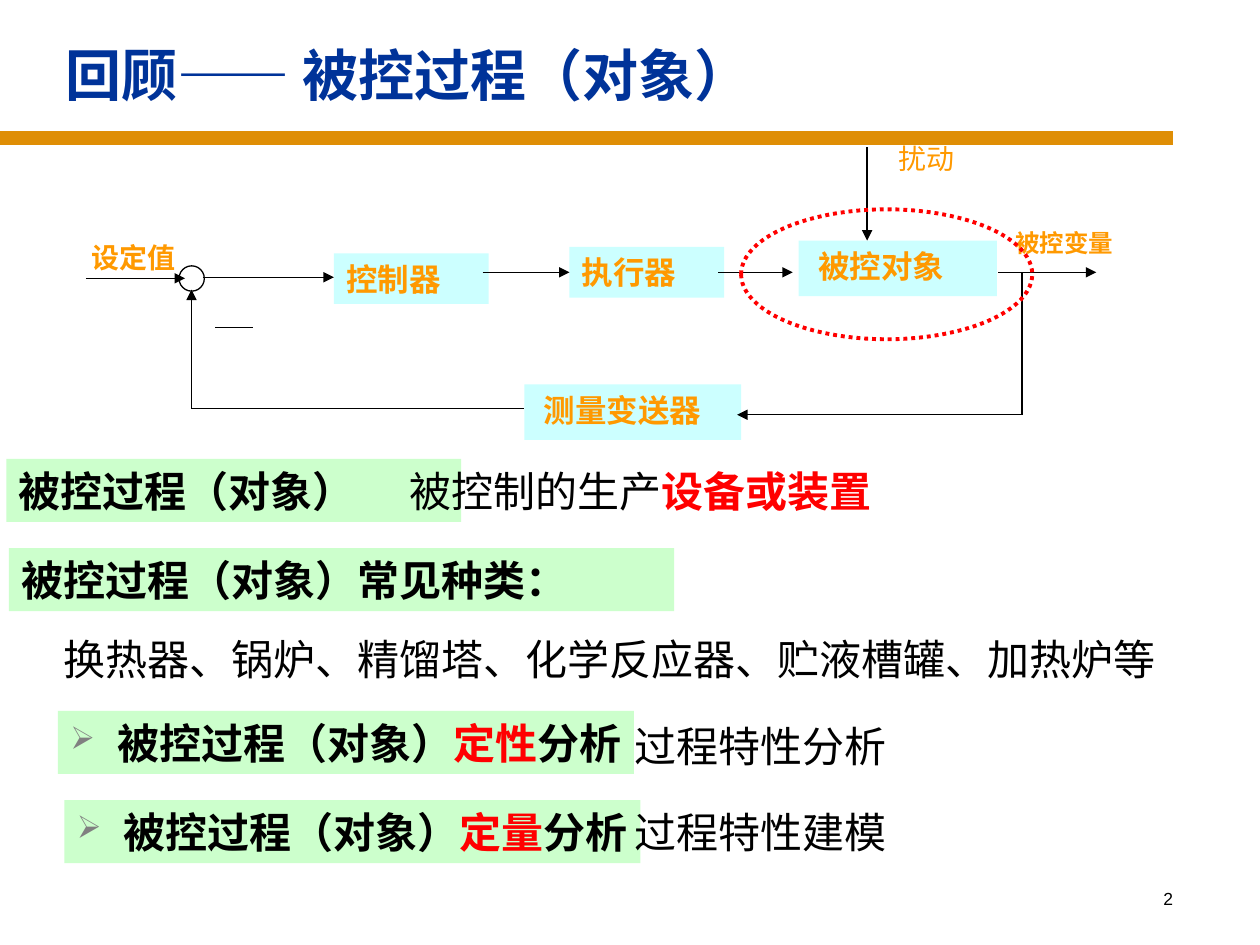
from lxml import etree
from pptx import Presentation
from pptx.dml.color import RGBColor
from pptx.enum import dml, shapes, text
from pptx.oxml import ns
from pptx.util import Cm, Pt

COLORS = {
    "navy": "003399", "bar": "DF8E05", "orange": "FF9900", "cyan": "CCFFFF",
    "green": "CCFFCC", "red": "FF0000", "black": "000000", "gray": "808080",
}


def rgb(name):
    return RGBColor.from_string(COLORS[name])


def sub(parent, tag, **attrs):
    return etree.SubElement(parent, ns.qn(tag), attrs)


def write(sp, runs, size, font="DejaVu Sans", before=0, hang=True, bullet=False):
    """Fill a shape with one paragraph; runs are (text, color, bold)."""
    tf = sp.text_frame
    tf.word_wrap = True
    tf.auto_size = text.MSO_AUTO_SIZE.NONE
    tf.vertical_anchor = text.MSO_ANCHOR.TOP
    tf.margin_right = 0
    p = tf.paragraphs[0]
    p.alignment = text.PP_ALIGN.LEFT
    p.space_before = Pt(before)
    pPr = p._p.get_or_add_pPr()
    if hang:
        pPr.set("marL", str(Cm(0.95)))
        pPr.set("indent", str(-Cm(0.95)))
    if bullet:
        sub(sub(pPr, "a:buClr"), "a:srgbClr", val=COLORS["gray"])
        sub(pPr, "a:buSzPct", val="75000")
        sub(pPr, "a:buChar", char="➢")
    p.font.size = Pt(size)
    p.font.name = font
    for content, color, bold in runs:
        r = p.add_run()
        r.text = content
        r.font.bold = bold
        r.font.color.rgb = rgb(color)
    return p


def add_block(parent, box, fill=None):
    """Plain text box, or a filled rectangle when a fill is given."""
    box = [Cm(v) for v in box]
    if fill is None:
        return parent.shapes.add_textbox(*box)
    sp = parent.shapes.add_shape(shapes.MSO_SHAPE.RECTANGLE, *box)
    sp.shadow.inherit = False
    sp.fill.solid()
    sp.fill.fore_color.rgb = rgb(fill)
    sp.line.fill.background()
    return sp


def add_ring(parent, box, color, width):
    sp = parent.shapes.add_shape(shapes.MSO_SHAPE.OVAL, *[Cm(v) for v in box])
    sp.shadow.inherit = False
    sp.fill.background()
    sp.line.color.rgb = rgb(color)
    sp.line.width = Pt(width)
    return sp


def add_line(parent, x1, y1, x2, y2, arrow=False, color="black", width=0.75):
    ln = parent.shapes.add_connector(
        shapes.MSO_CONNECTOR.STRAIGHT, Cm(x1), Cm(y1), Cm(x2), Cm(y2))
    ln.line.color.rgb = rgb(color)
    ln.line.width = Pt(width)
    if arrow:
        sub(ln.line._get_or_add_ln(), "a:tailEnd", type="triangle")
    sub(ln._element.spPr, "a:effectLst")


def add_header(s, x, y, w, h):
    add_line(s, 0, y + 2.36, 23.65, y + 2.36, color="bar", width=8)
    title = s.shapes.title
    title.left, title.top, title.width, title.height = Cm(x), Cm(y), Cm(w), Cm(h)
    write(title, [("回顾—— 被控过程（对象）", "navy", True)], 32,
          font="Times New Roman", hang=False)
    title.text_frame.vertical_anchor = text.MSO_ANCHOR.MIDDLE


def add_control_loop(s, x, y):
    """Block diagram of the feedback loop, with its top left at x, y."""
    g = s.shapes.add_group_shape()
    blocks = [
        (" 被控对象", 14.5, 2.15, 4, 1.12),
        (" 测量变送器", 8.97, 5.05, 4.37, 1.12),
        ("控制器", 5.13, 2.41, 3.12, 1.02),
        ("执行器", 9.88, 2.28, 3.12, 1.02),
    ]
    for name, dx, dy, w, h in blocks:
        sp = add_block(g, (x + dx, y + dy, w, h), "cyan")
        write(sp, [(name, "orange", True)], 18, before=11.2)

    labels = [
        ("被控变量", 18.62, 1.77, 1.75, 14, True),
        ("设定值", 0, 2.02, 1.96, 16, True),
        ("扰动", 16.26, 0.02, 0.94, 16, False),
    ]
    for name, dx, dy, h, size, bold in labels:
        sp = add_block(g, (x + dx, y + dy, 2.87, h))
        write(sp, [(name, "orange", bold)], size, before=10)

    row, feedback, branch, joint = 2.79, 5.66, 19, 2.26
    lines = [
        (18.52, row, 20.5, row, True),
        (0.13, 2.91, 2.13, 2.91, True),
        (2.49, 2.89, 5.13, 2.89, True),
        (8.13, row, 9.88, row, True),
        (12.88, row, 14.38, row, True),
        (branch, feedback, 13.26, feedback, True),
        (branch, row, branch, feedback, False),
        (joint, 5.53, joint, 3.14, True),
        (joint, 5.53, 8.97, 5.53, False),
        (2.74, 3.9, 3.51, 3.9, False),
        (15.88, 0.27, 15.88, 2.15, True),
    ]
    for x1, y1, x2, y2, arrow in lines:
        add_line(g, x + x1, y + y1, x + x2, y + y2, arrow)

    add_ring(g, (x + 2.01, y + 2.66, 0.51, 0.51), "black", 0.75)
    focus = add_ring(g, (x + 13.34, y + 1.52, 5.87, 2.62), "red", 2.25)
    focus.line.dash_style = dml.MSO_LINE.ROUND_DOT


def add_notes(s, x, y):
    """Definition, examples and the two kinds of analysis."""
    subject = "被控过程（对象）"

    def analysis(kind):
        return [(subject, "black", True), (kind, "red", True), ("分析", "black", True)]

    notes = [
        (0.13, 0, 9.17, "green", False, [(subject, "black", True)]),
        (8, 0, 11.71, None, False,
         [("被控制的生产", "black", False), ("设备或装置", "red", True)]),
        (0.18, 1.8, 13.41, "green", False, [(subject + "常见种类：", "black", True)]),
        (1.04, 3.4, 23.11, None, False,
         [("换热器、锅炉、精馏塔、化学反应器、贮液槽罐、加热炉等", "black", False)]),
        (1.17, 5.08, 11.61, "green", True, analysis("定性")),
        (1.3, 6.88, 11.61, "green", True, analysis("定量")),
        (12.55, 5.15, 7.49, None, False, [("过程特性分析", "black", False)]),
        (12.55, 6.88, 7.49, None, False, [("过程特性建模", "black", False)]),
    ]
    for dx, dy, w, fill, bullet, runs in notes:
        sp = add_block(s, (x + dx, y + dy, w, 1.27), fill)
        write(sp, runs, 24, before=6, bullet=bullet)


def add_page_number(s, x, y, w, h):
    sp = add_block(s, (x, y, w, h))
    p = write(sp, [("2", "black", False)], 10, font="Arial", hang=False)
    p.alignment = text.PP_ALIGN.RIGHT
    sp.text_frame.margin_right = Cm(0.25)


def main():
    prs = Presentation()
    prs.slide_width, prs.slide_height = Cm(25.4), Cm(19.05)
    s = prs.slides.add_slide(prs.slide_layouts[5])
    add_header(s, 1.07, 0.43, 22.86, 2.13)
    add_control_loop(s, 1.6, 2.7)
    add_notes(s, 0, 9.25)
    add_page_number(s, 18.62, 17.78, 5.28, 1.27)
    prs.save("out.pptx")


if __name__ == "__main__":
    main()
